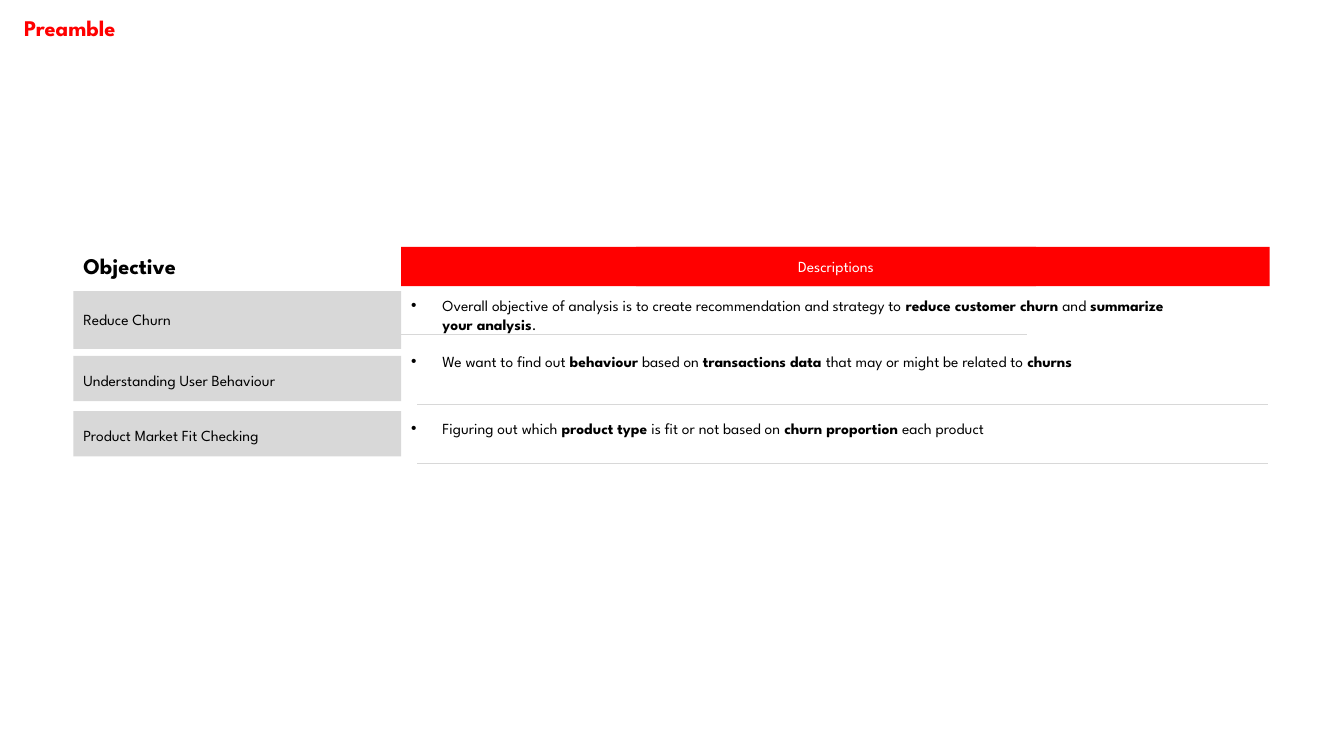
from lxml import etree
from pptx import Presentation
from pptx.dml.color import RGBColor
from pptx.enum.shapes import MSO_CONNECTOR as CONN, MSO_SHAPE as SHAPE
from pptx.enum.text import MSO_ANCHOR as ANCHOR, MSO_AUTO_SIZE as AUTO, PP_ALIGN as ALIGN
from pptx.oxml.ns import qn
from pptx.util import Cm, Pt

RED, GREY, BLACK, WHITE = "FF0000", "D8D8D8", "000000", "FFFFFF"
FONT = "League Spartan"
LEFT, MIDDLE = 1.85, 10.11
BAR_W = MIDDLE - LEFT
HEADER_Y, HEADER_H = 6.22, 0.99

# Each description alternates between regular and bold pieces.
ROWS = [
    dict(label="Reduce Churn", bar=(7.34, 1.45), label_box=(7.7, 3.28), desc_box=(7.34, 19.53),
         pieces=["Overall objective of analysis is to create recommendation and strategy to ",
                 "reduce customer churn", " and ", "summarize your analysis", "."]),
    dict(label="Understanding User Behaviour", bar=(8.97, 1.14), label_box=(9.22, 6.17),
         desc_box=(8.74, 19.53),
         pieces=["We want to find out ", "behaviour", " based on ", "transactions data",
                 " that may or might be related to ", "churns"]),
    dict(label="Product Market Fit Checking", bar=(10.36, 1.14), label_box=(10.62, 6.02),
         desc_box=(10.44, 16.26),
         pieces=["Figuring out which ", "product type", " is fit or not based on ",
                 "churn proportion", " each product"]),
]
RULES = [(10.52, 31.95, 10.19), (4.42, 25.88, 8.43), (10.52, 31.95, 11.68)]


def rgb(hex_code):
    """Turn a hex string into a colour."""
    return RGBColor.from_string(hex_code)


def add_run(p, text, color=BLACK, **fmt):
    """Append a run with the slide font and the given format."""
    r = p.add_run()
    r.text = text
    for name, value in {"name": FONT, "size": Pt(11), "bold": False, **fmt}.items():
        setattr(r.font, name, value)
    r.font.color.rgb = rgb(color)


def add_text(shapes, x, y, w, h, text="", color=BLACK, **fmt):
    """Add a wrapping text box and return its paragraph."""
    tf = shapes.add_textbox(Cm(x), Cm(y), Cm(w), Cm(h)).text_frame
    for name, value in {"word_wrap": True, "auto_size": AUTO.NONE}.items():
        setattr(tf, name, value)
    p = tf.paragraphs[0]
    if text:
        add_run(p, text, color, **fmt)
    return p


def add_bar(shapes, x, y, w, h, color):
    """Add a plain filled rectangle."""
    sp = shapes.add_shape(SHAPE.RECTANGLE, Cm(x), Cm(y), Cm(w), Cm(h))
    sp.shadow.inherit = False
    sp.fill.solid()
    sp.fill.fore_color.rgb = rgb(color)
    sp.line.fill.background()
    return sp


def add_bullet(p):
    """Give a paragraph a black bullet with a hanging indent."""
    pPr = p._p.get_or_add_pPr()
    pPr.set("marL", str(Cm(0.79)))
    pPr.set("indent", str(-Cm(0.79)))
    clr = etree.SubElement(pPr, qn("a:buClr"))
    etree.SubElement(clr, qn("a:srgbClr"), val=BLACK)
    etree.SubElement(pPr, qn("a:buFont"), typeface="Arial")
    etree.SubElement(pPr, qn("a:buChar"), char="•")


def add_header(s):
    """Add the red header of the description column."""
    shapes = s.shapes.add_group_shape().shapes
    add_bar(shapes, MIDDLE, HEADER_Y, 21.89, HEADER_H, RED)
    tf = add_bar(shapes, 16.03, HEADER_Y, 10.08, HEADER_H, RED).text_frame
    tf.vertical_anchor = ANCHOR.MIDDLE
    p = tf.paragraphs[0]
    p.alignment = ALIGN.CENTER
    add_run(p, "Descriptions", WHITE)


def add_row(s, label, bar, label_box, desc_box, pieces):
    """Add one objective with its bulleted description."""
    shapes = s.shapes.add_group_shape().shapes
    add_bar(shapes, LEFT, bar[0], BAR_W, bar[1], GREY)
    add_text(shapes, LEFT, *label_box, 0.74, label)
    p = add_text(shapes, MIDDLE, *desc_box, 1.19)
    add_bullet(p)
    for i, piece in enumerate(pieces):
        add_run(p, piece, bold=i % 2 == 1)


def add_rule(s, x1, x2, y):
    """Add a thin grey horizontal line."""
    line = s.shapes.add_connector(CONN.STRAIGHT, Cm(x1), Cm(y), Cm(x2), Cm(y))
    line.line.color.rgb = rgb(GREY)
    line.line.width = Pt(0.75)
    etree.SubElement(line._element.spPr, qn("a:effectLst"))


def main():
    """Build the slide and save it."""
    prs = Presentation()
    prs.slide_width, prs.slide_height = Cm(33.87), Cm(19.05)
    s = prs.slides.add_slide(prs.slide_layouts[6])
    heading = {"size": Pt(16), "bold": True}
    add_text(s.shapes, 0.36, 0.23, 25.96, 0.94, "Preamble", RED, **heading)
    add_text(s.shapes, LEFT, HEADER_Y, 3.25, 0.94, "Objective", **heading)
    add_header(s)
    for row in ROWS:
        add_row(s, **row)
    for rule in RULES:
        add_rule(s, *rule)
    prs.save("out.pptx")


if __name__ == "__main__":
    main()
